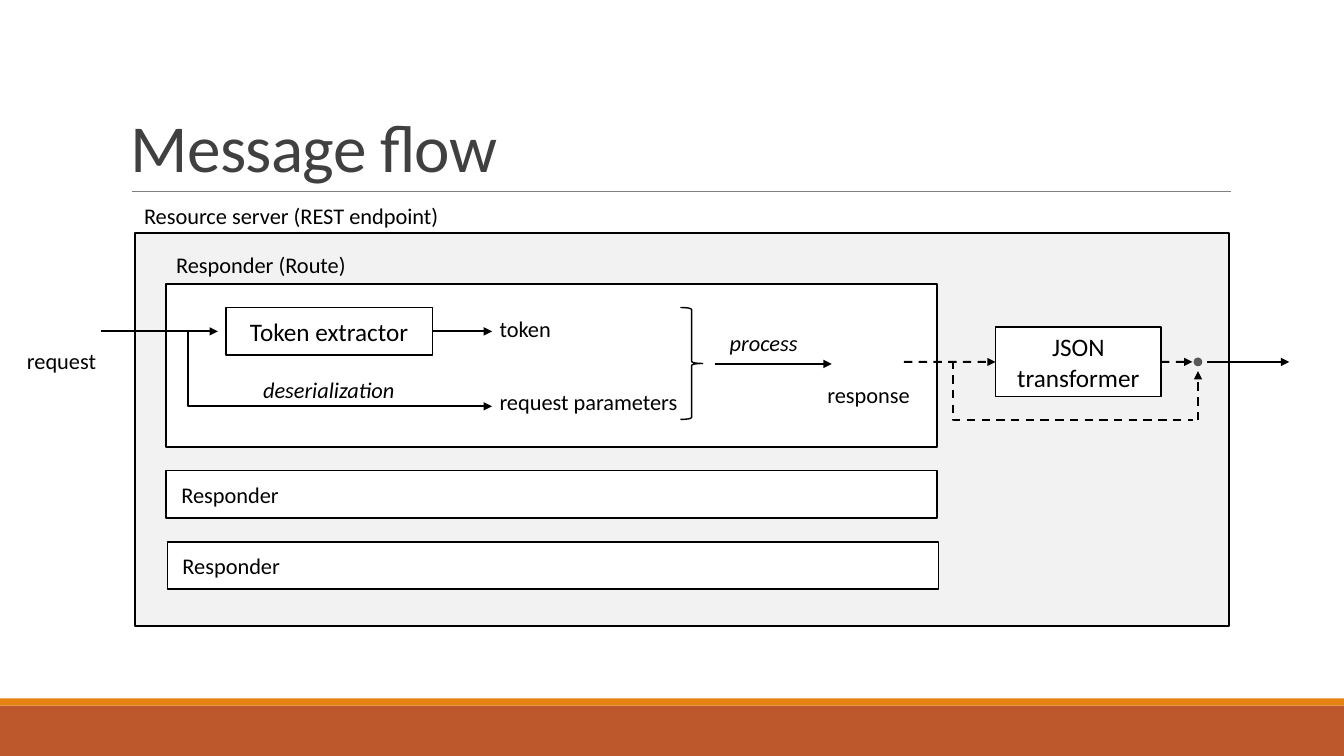
from dataclasses import dataclass
from typing import Optional

from lxml import etree
from pptx import Presentation
from pptx import util as u
from pptx.dml.color import RGBColor
from pptx.enum import dml, shapes, text
from pptx.oxml import ns


@dataclass(frozen=True)
class Theme:
    font: str = "Calibri"
    ink: str = "000000"
    title: str = "404040"
    paper: str = "FFFFFF"
    panel: str = "F2F2F2"
    dot: str = "595959"
    rule: str = "808080"
    band: str = "BD582C"
    stripe: str = "E48312"
    title_size: float = 48
    box_size: float = 18
    label_size: float = 16
    outline: float = 1.25
    arrow: float = 1.5
    thin: float = 1
    hairline: float = 0.5


THEME = Theme()


@dataclass(frozen=True)
class Block:
    """A preset shape; lengths in centimetres."""
    left: float
    top: float
    width: float
    height: float
    fill: Optional[str] = THEME.paper
    outline: Optional[float] = THEME.outline
    words: str = ""
    size: float = THEME.box_size
    centred: bool = True
    kind: shapes.MSO_SHAPE = shapes.MSO_SHAPE.RECTANGLE


@dataclass(frozen=True)
class Label:
    words: str
    left: float
    top: float
    width: float
    italic: bool = False


@dataclass(frozen=True)
class Flow:
    """A connector; bend is the elbow's place as a share of its width."""
    x1: float
    y1: float
    x2: float
    y2: float
    dashed: bool = False
    head: bool = True
    bend: Optional[float] = None
    colour: str = THEME.ink
    weight: float = THEME.arrow
    source: str = ""
    target: str = ""


SLIDE_W, SLIDE_H = 33.87, 19.05
LABEL_H = 0.94
TOKEN_Y, PARAMETER_Y = 8.35, 10.24    # upper and lower input lanes
OUTPUT_Y, BYPASS_Y = 9.12, 10.59      # output lane and the way round JSON
DOT_X, DOT_SIZE = 30.19, 0.22
RESPONDER_W, BAR_H = 19.43, 1.2
INSET = 0.38

BLOCKS = {
    "band": Block(0, 17.78, SLIDE_W, 1.27, THEME.band, None),
    "stripe": Block(0, 17.6, SLIDE_W, 0.18, THEME.stripe, None),
    "server": Block(3.4, 5.87, 27.58, 9.91, THEME.panel),
    "route": Block(4.19, 7.16, RESPONDER_W, 4.11),
    "dot": Block(DOT_X - DOT_SIZE / 2, OUTPUT_Y - DOT_SIZE / 2, DOT_SIZE, DOT_SIZE,
                 THEME.dot, None, kind=shapes.MSO_SHAPE.OVAL),
    "extractor": Block(5.69, TOKEN_Y - BAR_H / 2, 5.21, BAR_H, None,
                       words="Token extractor"),
    "brace": Block(17.15, 7.75, 0.56, 2.82, None, THEME.thin,
                   kind=shapes.MSO_SHAPE.RIGHT_BRACE),
    "transformer": Block(25.09, OUTPUT_Y - 0.87, 4.17, 1.74, words="JSON\ntransformer"),
    "responder 2": Block(4.19, 11.86, RESPONDER_W, BAR_H, words="Responder",
                         size=THEME.label_size, centred=False),
    "responder 3": Block(4.22, 13.65, RESPONDER_W, BAR_H, words="Responder",
                         size=THEME.label_size, centred=False),
}

LABELS = [
    Label("request", 0.43, 8.62, 2.29),
    Label("Resource server (REST endpoint)", 3.38, 4.98, 8.05),
    Label("Responder (Route)", 4.19, 6.2, 4.85),
    Label("deserialization", 6.38, 9.36, 3.86, italic=True),
    Label("token", 12.34, 7.82, 1.83),
    Label("request parameters", 12.34, 9.65, 5.16),
    Label("process", 18.14, 8.18, 2.29, italic=True),
    Label("response", 20.6, 9.48, 2.62),
]

FLOWS = [
    Flow(3.33, 4.83, 31.01, 4.83, head=False, colour=THEME.rule, weight=THEME.hairline),
    Flow(2.54, TOKEN_Y, 5.49, TOKEN_Y),
    Flow(5.13, TOKEN_Y, 12.4, PARAMETER_Y, bend=-0.055),
    Flow(10.9, TOKEN_Y, 12.4, TOKEN_Y, source="extractor"),
    Flow(18.01, 9.17, 20.96, 9.17),
    Flow(22.78, OUTPUT_Y, 25.09, OUTPUT_Y, dashed=True, target="transformer"),
    Flow(29.26, OUTPUT_Y, 30.05, OUTPUT_Y, dashed=True, source="transformer"),
    Flow(30.43, OUTPUT_Y, 32.49, OUTPUT_Y),
    Flow(23.98, OUTPUT_Y, 30.07, BYPASS_Y, dashed=True, head=False, bend=0.006),
    Flow(DOT_X, BYPASS_Y, DOT_X, 9.35, dashed=True),
]


def style_text(frame, size: float, colour: str = THEME.ink, italic: bool = False) -> None:
    for para in frame.paragraphs:
        for span in para.runs:
            span.font.name = THEME.font
            span.font.size = u.Pt(size)
            span.font.italic = italic
            span.font.color.rgb = RGBColor.from_string(colour)


def add_block(page, block: Block):
    shape = page.shapes.add_shape(block.kind, u.Cm(block.left), u.Cm(block.top),
                                  u.Cm(block.width), u.Cm(block.height))
    shape.shadow.inherit = False
    if block.fill:
        shape.fill.solid()
        shape.fill.fore_color.rgb = RGBColor.from_string(block.fill)
    else:
        shape.fill.background()
    if block.outline:
        shape.line.color.rgb = RGBColor.from_string(THEME.ink)
        shape.line.width = u.Pt(block.outline)
    else:
        shape.line.fill.background()
    if block.words:
        frame = shape.text_frame
        frame.text = block.words
        frame.vertical_anchor = text.MSO_ANCHOR.MIDDLE
        if not block.centred:
            frame.margin_left = u.Cm(INSET)
        for para in frame.paragraphs:
            para.alignment = text.PP_ALIGN.CENTER if block.centred else text.PP_ALIGN.LEFT
        style_text(frame, block.size)
    return shape


def add_label(page, label: Label) -> None:
    box = page.shapes.add_textbox(u.Cm(label.left), u.Cm(label.top),
                                  u.Cm(label.width), u.Cm(LABEL_H))
    frame = box.text_frame
    frame.text = label.words
    frame.word_wrap = False
    frame.auto_size = text.MSO_AUTO_SIZE.SHAPE_TO_FIT_TEXT
    style_text(frame, THEME.label_size, italic=label.italic)


def add_flow(page, flow: Flow, blocks: dict) -> None:
    kind = shapes.MSO_CONNECTOR.STRAIGHT if flow.bend is None else shapes.MSO_CONNECTOR.ELBOW
    line = page.shapes.add_connector(kind, u.Cm(flow.x1), u.Cm(flow.y1),
                                     u.Cm(flow.x2), u.Cm(flow.y2))
    if flow.source:
        line.begin_connect(blocks[flow.source], 3)
    if flow.target:
        line.end_connect(blocks[flow.target], 1)
    line.line.color.rgb = RGBColor.from_string(flow.colour)
    line.line.width = u.Pt(flow.weight)
    if flow.dashed:
        line.line.dash_style = dml.MSO_LINE.DASH
    properties = line._element.spPr
    if flow.head:
        etree.SubElement(properties.find(ns.qn("a:ln")), ns.qn("a:tailEnd"), type="triangle")
    if flow.bend is not None:
        guides = properties.find(ns.qn("a:prstGeom")).get_or_add_avLst()
        etree.SubElement(guides, ns.qn("a:gd"), name="adj1",
                         fmla=f"val {round(flow.bend * 100000)}")
    etree.SubElement(properties, ns.qn("a:effectLst"))


def add_title(page, words: str) -> None:
    box = page.shapes.add_textbox(u.Cm(3.05), u.Cm(0.79), u.Cm(27.94), u.Cm(4.04))
    frame = box.text_frame
    frame.text = words
    frame.word_wrap = True
    frame.vertical_anchor = text.MSO_ANCHOR.BOTTOM
    para = frame.paragraphs[0]
    para.line_spacing = 0.85
    style_text(frame, THEME.title_size, THEME.title)
    para.runs[0].font._element.set("spc", "-50")


def main() -> None:
    deck = Presentation()
    deck.slide_width, deck.slide_height = u.Cm(SLIDE_W), u.Cm(SLIDE_H)
    page = deck.slides.add_slide(deck.slide_layouts[6])
    blocks = {name: add_block(page, block) for name, block in BLOCKS.items()}
    add_title(page, "Message flow")
    for label in LABELS:
        add_label(page, label)
    for flow in FLOWS:
        add_flow(page, flow, blocks)
    deck.save("out.pptx")


if __name__ == "__main__":
    main()
